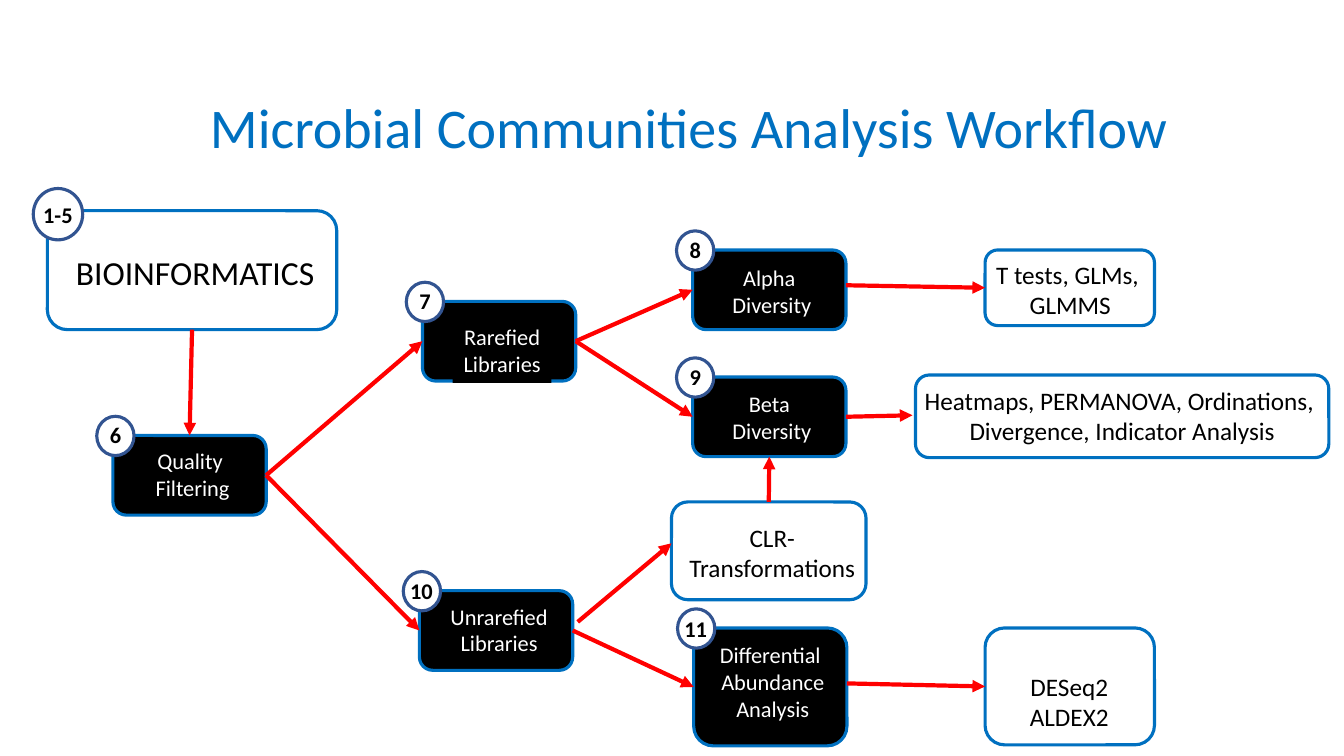
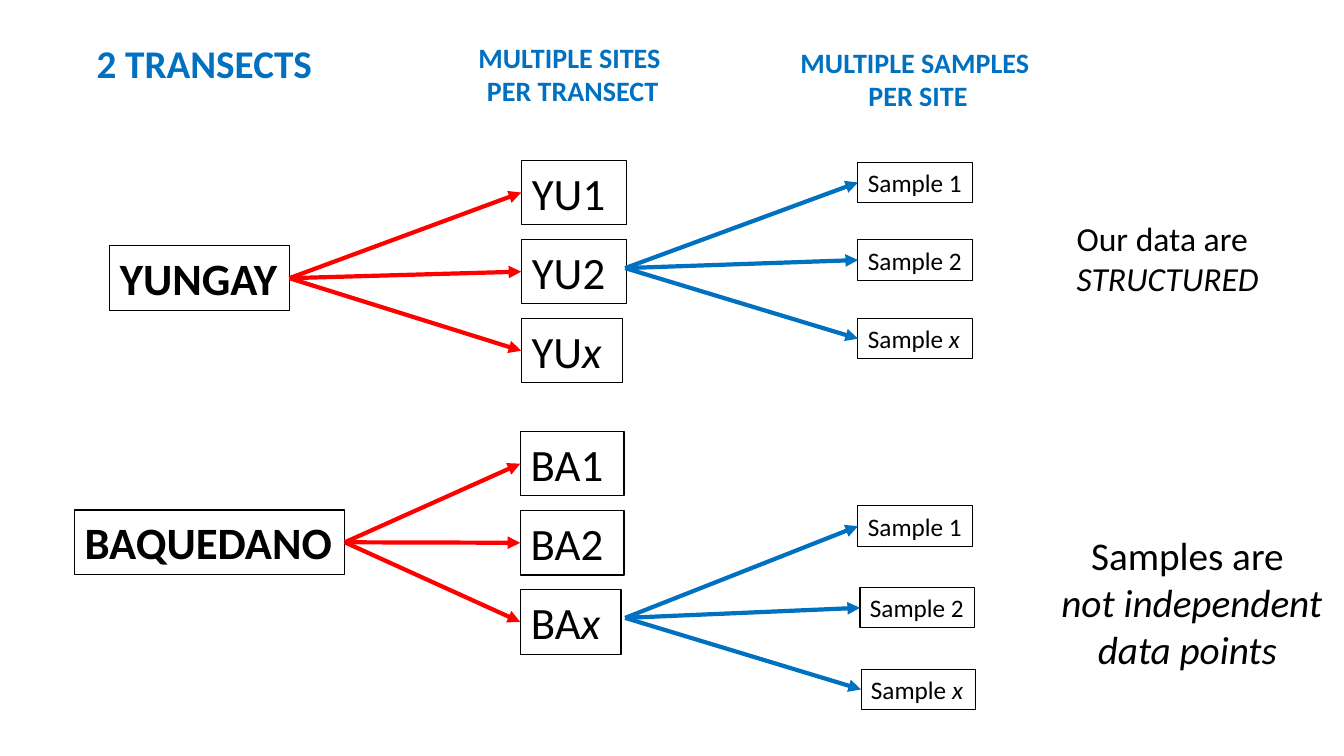
from lxml.etree import SubElement
from pptx import Presentation
from pptx.dml.color import RGBColor
from pptx.enum.shapes import MSO_CONNECTOR, MSO_SHAPE
from pptx.enum.text import MSO_ANCHOR, MSO_AUTO_SIZE, PP_ALIGN
from pptx.oxml.ns import qn
from pptx.util import Inches, Pt

BLACK = RGBColor(0x00, 0x00, 0x00)
WHITE = RGBColor(0xFF, 0xFF, 0xFF)
BLUE = RGBColor(0x00, 0x70, 0xC0)
NAVY = RGBColor(0x32, 0x54, 0x91)
RED = RGBColor(0xFF, 0x00, 0x00)
FONT = "Calibri"
TOP, LEFT, BOTTOM, RIGHT = range(4)
CENTER = PP_ALIGN.CENTER


def set_outline(shape, fill=None, line=None, width=2.25):
    if fill is None:
        shape.fill.background()
    else:
        shape.fill.solid()
        shape.fill.fore_color.rgb = fill
    if line is None:
        shape.line.fill.background()
    else:
        shape.line.color.rgb = line
        shape.line.width = Pt(width)


def add_text(slide, box, paragraphs, size=18, color=BLACK, bold=False, align=None,
             wrap=False, grow=True, anchor=MSO_ANCHOR.TOP, spacing=None,
             fill=None, line=None):
    shape = slide.shapes.add_textbox(*map(Inches, box))
    set_outline(shape, fill, line, 0.75)
    frame = shape.text_frame
    frame.word_wrap = wrap
    frame.auto_size = MSO_AUTO_SIZE.SHAPE_TO_FIT_TEXT if grow else MSO_AUTO_SIZE.NONE
    frame.vertical_anchor = anchor
    for index, runs in enumerate(paragraphs):
        paragraph = frame.add_paragraph() if index else frame.paragraphs[0]
        paragraph.alignment = align
        paragraph.line_spacing = spacing
        for text, italic in [(runs, False)] if isinstance(runs, str) else runs:
            run = paragraph.add_run()
            run.text = text
            run.font.name = FONT
            run.font.size = Pt(size)
            run.font.bold = bold
            run.font.italic = italic
            run.font.color.rgb = color
    return shape


def add_preset(slide, preset, box, fill=None, line=BLUE):
    shape = slide.shapes.add_shape(preset, *map(Inches, box))
    shape.shadow.inherit = False
    set_outline(shape, fill, line)
    return shape


def add_arrow(slide, begin, end, color=RED):
    points = [(0, 0) if hasattr(place[0], "shape_id") else place for place in (begin, end)]
    arrow = slide.shapes.add_connector(
        MSO_CONNECTOR.STRAIGHT, *[Inches(value) for point in points for value in point])
    if hasattr(begin[0], "shape_id"):
        arrow.begin_connect(*begin)
    if hasattr(end[0], "shape_id"):
        arrow.end_connect(*end)
    arrow.line.color.rgb = color
    arrow.line.width = Pt(3)
    SubElement(arrow.line._get_or_add_ln(), qn("a:tailEnd"), type="triangle")
    SubElement(arrow._element.spPr, qn("a:effectLst"))


def add_badge(slide, box, number, shift, width):
    left, top = box[:2]
    add_preset(slide, MSO_SHAPE.OVAL, box, WHITE, NAVY)
    add_text(slide, (left + shift[0], top + shift[1], width, 0.37), [number],
             size=16, bold=True, wrap=True)


def add_stage(slide, box, lines, number, label):
    left, top = box[:2]
    label_left, label_top, label_width = label
    node = add_preset(slide, MSO_SHAPE.ROUNDED_RECTANGLE, box, BLACK)
    label_height = 0.1 + 0.27 * len(lines)
    add_text(slide, (left + label_left, top + label_top, label_width, label_height),
             lines, size=16, color=WHITE, align=CENTER, fill=BLACK)
    shift, width = ((0.03, 0), 0.32) if len(number) == 1 else ((-0.03, 0.01), 0.6)
    add_badge(slide, (left - 0.16, top - 0.19, 0.37, 0.39), number, shift, width)
    return node


def add_method(slide, box, lines, label, size=18, wrap=False):
    left, top = box[:2]
    node = add_preset(slide, MSO_SHAPE.ROUNDED_RECTANGLE, box)
    label_left, label_top, label_width, label_height = label
    add_text(slide, (left + label_left, top + label_top, label_width, label_height),
             lines, size=size, align=CENTER, wrap=wrap)
    return node


def build_workflow(slide):
    add_text(slide, (1.08, 0.57, 11.5, 1.45), ["Microbial Communities Analysis Workflow"],
             size=40, color=BLUE, align=CENTER, wrap=True, grow=False,
             anchor=MSO_ANCHOR.MIDDLE, spacing=0.9)

    bioinformatics = add_method(slide, (0.47, 2.09, 2.87, 1.18), ["BIOINFORMATICS"],
                                (0.07, 0.36, 2.79, 0.5), size=24, wrap=True)
    add_badge(slide, (0.33, 1.87, 0.49, 0.51), "1-5", (0, 0.08), 0.7)

    quality = add_stage(slide, (1.12, 4.32, 1.52, 0.79), ["Quality ", "Filtering"],
                        "6", (0.32, 0.07, 0.94))
    rarefied = add_stage(slide, (4.19, 2.99, 1.52, 0.79), ["Rarefied", "Libraries"],
                         "7", (0.3, 0.17, 0.98))
    alpha = add_stage(slide, (6.87, 2.48, 1.52, 0.79), ["Alpha ", "Diversity"],
                      "8", (0.29, 0.09, 0.99))
    beta = add_stage(slide, (6.87, 3.74, 1.52, 0.79), ["Beta ", "Diversity"],
                     "9", (0.29, 0.08, 0.99))
    unrarefied = add_stage(slide, (4.16, 5.86, 1.52, 0.79), ["Unrarefied", "Libraries"],
                           "10", (0.2, 0.07, 1.18))
    differential = add_stage(slide, (6.88, 6.23, 1.52, 1.17),
                             ["Differential ", "Abundance", "Analysis"],
                             "11", (0.15, 0.08, 1.27))

    tests = add_method(slide, (9.77, 2.48, 1.68, 0.75), ["T tests, GLMs, ", "GLMMS"],
                       (0, 0.04, 1.69, 0.71))
    add_method(slide, (9.08, 3.72, 4.1, 0.82),
               ["Heatmaps, PERMANOVA, Ordinations, ", "Divergence, Indicator Analysis"],
               (-0.03, 0.05, 4.16, 0.71))
    packages = add_method(slide, (9.77, 6.23, 1.68, 1.16), ["DESeq2", "ALDEX2"],
                          (0.34, 0.38, 0.99, 0.71))
    transformations = add_method(slide, (6.66, 4.98, 1.93, 0.97),
                                 ["CLR-", "Transformations"],
                                 (-0.45, 0.15, 2.9, 0.71), wrap=True)

    for begin, end in [
        ((bioinformatics, BOTTOM), (quality, TOP)),
        ((quality, RIGHT), (rarefied, LEFT)),
        ((quality, RIGHT), (unrarefied, LEFT)),
        ((rarefied, RIGHT), (alpha, LEFT)),
        ((rarefied, RIGHT), (beta, LEFT)),
        ((unrarefied, RIGHT), (differential, LEFT)),
        ((5.73, 6.17), (6.66, 5.39)),
        ((transformations, TOP), (beta, BOTTOM)),
        ((8.39, 2.83), (tests, LEFT)),
        ((beta, RIGHT), (9.05, 4.12)),
        ((8.4, 6.78), (packages, LEFT)),
    ]:
        add_arrow(slide, begin, end)


def add_transect(slide, box, name, prefix, sites, fan_start, samples):
    transect = add_text(slide, box, [name], size=32, bold=True, line=BLACK)
    site_left, site_top, site_width = sites
    for index, suffix in enumerate(["1 ", "2 ", "x "]):
        is_last = suffix == "x "
        site_box = (site_left, site_top + 0.785 * index,
                    1 if is_last else site_width, 0.64)
        site = add_text(slide, site_box, [[(prefix, False), (suffix, is_last)]],
                        size=32, align=CENTER, line=BLACK)
        add_arrow(slide, (transect, RIGHT), (site, LEFT))
    for suffix, (left, top) in zip("12x", samples):
        sample = add_text(slide, (left, top, 1.14, 0.4),
                          [[("Sample ", False), (suffix, suffix == "x")]], line=BLACK)
        add_arrow(slide, fan_start, (sample, LEFT), BLUE)


def build_sampling_design(slide):
    add_text(slide, (0.86, 0.34, 2.36, 0.57), ["2 TRANSECTS"],
             size=28, color=BLUE, bold=True)
    for box, lines in [
        ((4.48, 0.35, 2.4, 0.77), ["MULTIPLE SITES ", "PER TRANSECT"]),
        ((7.63, 0.4, 2.95, 0.77), ["MULTIPLE SAMPLES ", "PER SITE"]),
    ]:
        add_text(slide, box, lines, size=20, color=BLUE, bold=True,
                 align=CENTER, wrap=True)

    add_transect(slide, (1.09, 2.44, 1.78, 0.64), "YUNGAY", "YU", (5.17, 1.59, 1.04),
                 (6.2, 2.66), [(8.51, 1.61), (8.51, 2.38), (8.51, 3.16)])
    add_transect(slide, (0.74, 5.06, 2.68, 0.64), "BAQUEDANO", "BA", (5.16, 4.28, 1.03),
                 (6.2, 6.13), [(8.51, 5.02), (8.53, 5.83), (8.54, 6.64)])

    add_text(slide, (10.58, 2.11, 2.03, 0.91),
             ["Our data are", [("STRUCTURED", True)]], size=24)
    add_text(slide, (10.41, 5.22, 2.82, 1.51),
             ["Samples are ", [("not independent", True)], [("data points ", True)]],
             size=28, align=CENTER)


def main():
    presentation = Presentation()
    presentation.slide_width = Inches(13.33)
    presentation.slide_height = Inches(7.5)
    for build in (build_workflow, build_sampling_design):
        build(presentation.slides.add_slide(presentation.slide_layouts[6]))
    presentation.save("out.pptx")


if __name__ == "__main__":
    main()
